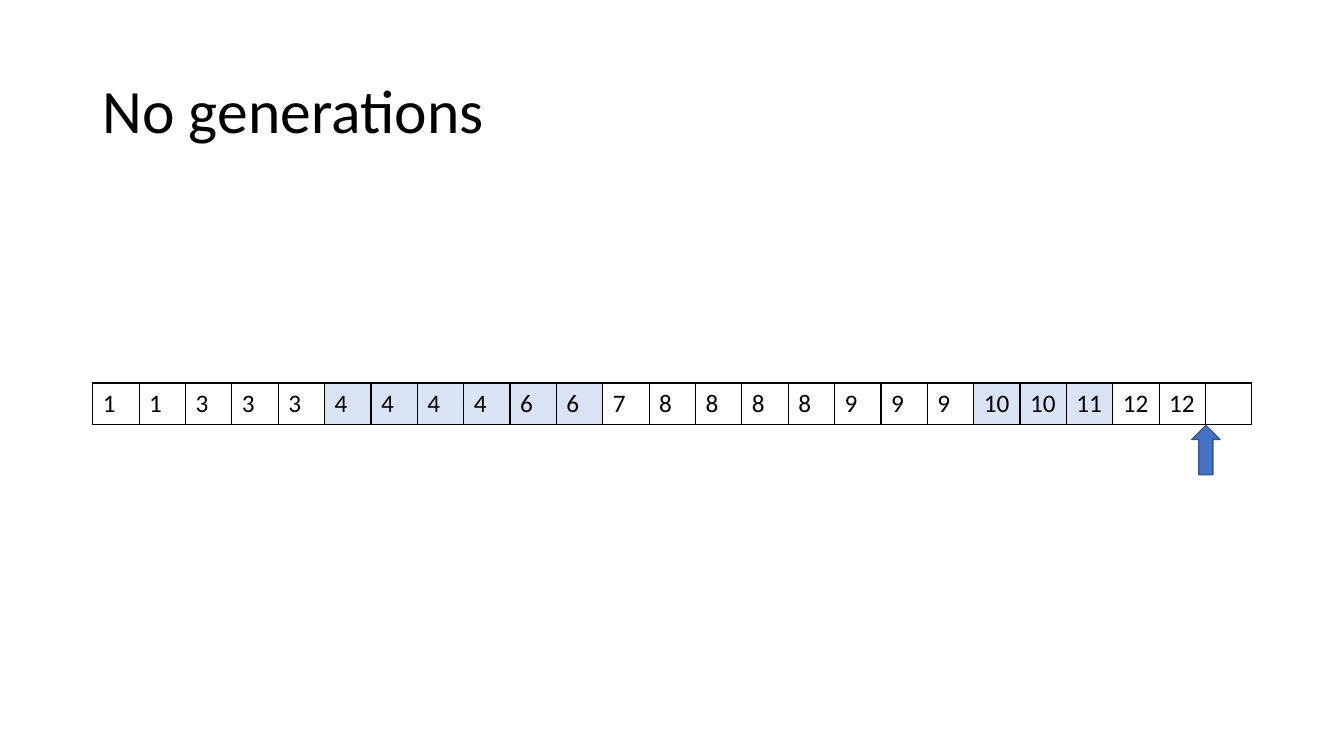
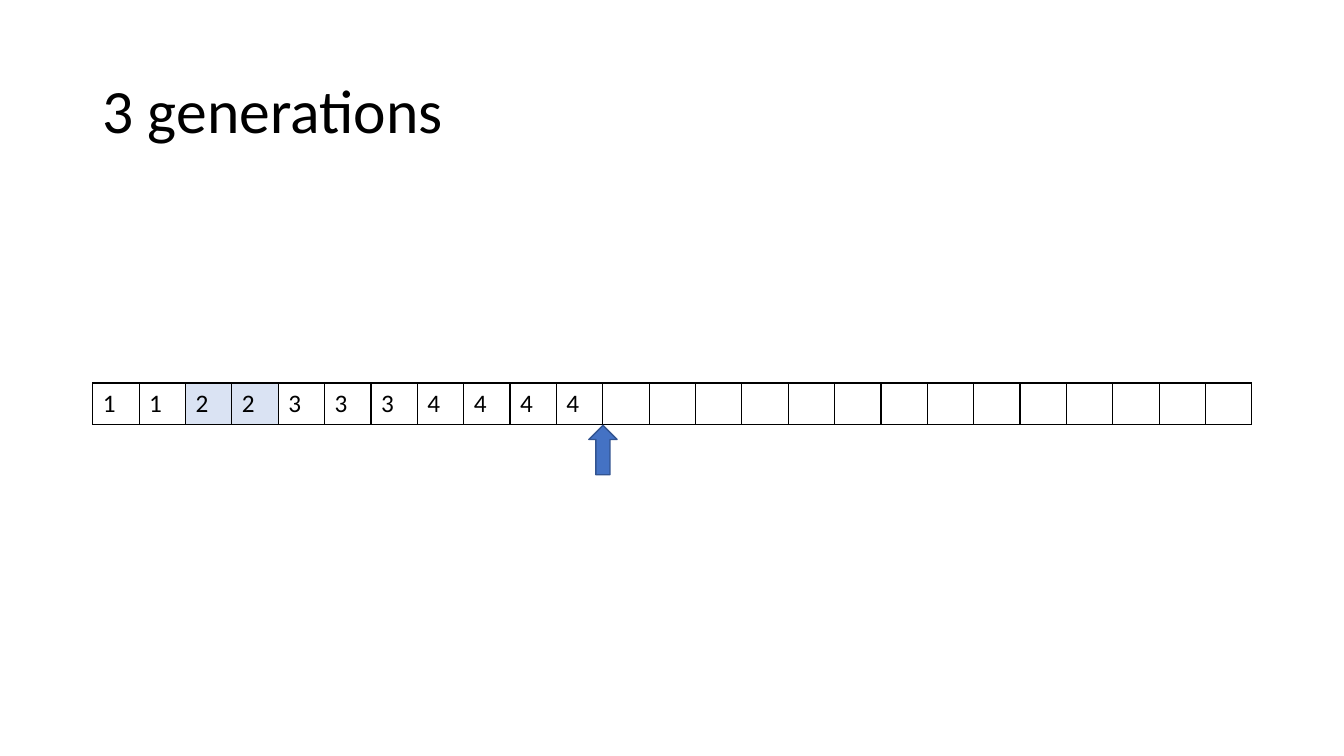
from lxml import etree
from pptx import Presentation
from pptx.dml.color import RGBColor
from pptx.enum.shapes import MSO_SHAPE
from pptx.enum.text import MSO_ANCHOR, PP_ALIGN
from pptx.oxml.ns import qn
from pptx.util import Inches, Pt

UP_ARROW = MSO_SHAPE.UP_ARROW
MIDDLE = MSO_ANCHOR.MIDDLE
LEFT = PP_ALIGN.LEFT

BLACK = RGBColor(0x00, 0x00, 0x00)
SHADE = RGBColor(0xDA, 0xE3, 0xF3)
BLUE = RGBColor(0x44, 0x72, 0xC4)
DARK_BLUE = RGBColor(0x32, 0x54, 0x91)
FONT = "Calibri"
TITLE_ONLY = 5

# Memory strip geometry, in inches
SLOTS = 25
SLOT_WIDTH = 0.46
ROW_HEIGHT = 0.41
STRIP_LEFT, STRIP_TOP = 0.92, 3.39
STRIP_WIDTH = SLOTS * SLOT_WIDTH
POINTER_WIDTH, POINTER_HEIGHT, POINTER_TOP = 0.28, 0.49, 4.22

# Title, values in the used slots, values whose slots are shaded
STRIPS = [
    ("No generations",
     [1, 1, 3, 3, 3, 4, 4, 4, 4, 6, 6, 7, 8, 8, 8, 8, 9, 9, 9, 10, 10, 11, 12, 12],
     {4, 6, 10, 11}),
    ("3 generations", [1, 1, 2, 2, 3, 3, 3, 4, 4, 4, 4], {2}),
]


def style_font(font, size):
    font.name = FONT
    font.size = Pt(size)
    font.color.rgb = BLACK


def add_borders(cell, sides):
    properties = cell._tc.get_or_add_tcPr()
    for side in sides:
        line = etree.SubElement(properties, qn(f"a:ln{side}"), w=str(Pt(1)))
        fill = etree.SubElement(line, qn("a:solidFill"))
        etree.SubElement(fill, qn("a:srgbClr"), val=str(BLACK))


prs = Presentation()
prs.slide_width = Inches(13.33)
prs.slide_height = Inches(7.5)

for heading, values, shaded in STRIPS:
    slide = prs.slides.add_slide(prs.slide_layouts[TITLE_ONLY])

    # Title
    title = slide.shapes.title
    title.left, title.top = Inches(STRIP_LEFT), Inches(0.4)
    title.width, title.height = Inches(STRIP_WIDTH), Inches(1.45)
    title.text_frame.text = heading
    title.text_frame.vertical_anchor = MIDDLE
    heading_line = title.text_frame.paragraphs[0]
    heading_line.alignment = LEFT
    heading_line.line_spacing = 0.9
    style_font(heading_line.runs[0].font, 44)

    # Memory strip: an open merged row above the slots
    strip = slide.shapes.add_table(
        2, SLOTS, Inches(STRIP_LEFT), Inches(STRIP_TOP),
        Inches(STRIP_WIDTH), Inches(2 * ROW_HEIGHT)).table
    strip.first_row = False
    strip.horz_banding = False
    for row in strip.rows:
        row.height = Inches(ROW_HEIGHT)
    for column in strip.columns:
        column.width = Inches(SLOT_WIDTH)
    strip.cell(0, 0).merge(strip.cell(0, SLOTS - 1))

    for index in range(SLOTS):
        above, slot = strip.cell(0, index), strip.cell(1, index)
        add_borders(above, "B")
        above.fill.background()
        add_borders(slot, "LRTB")
        slot.fill.background()
        if index < len(values):
            slot.text_frame.text = str(values[index])
            style_font(slot.text_frame.paragraphs[0].runs[0].font, 18)
            if values[index] in shaded:
                slot.fill.solid()
                slot.fill.fore_color.rgb = SHADE

    # Pointer to the next free slot
    pointer_center = STRIP_LEFT + len(values) * SLOT_WIDTH
    pointer = slide.shapes.add_shape(
        UP_ARROW, Inches(pointer_center - POINTER_WIDTH / 2), Inches(POINTER_TOP),
        Inches(POINTER_WIDTH), Inches(POINTER_HEIGHT))
    pointer.shadow.inherit = False
    pointer.fill.solid()
    pointer.fill.fore_color.rgb = BLUE
    pointer.line.color.rgb = DARK_BLUE
    pointer.line.width = Pt(1)

prs.save("out.pptx")
